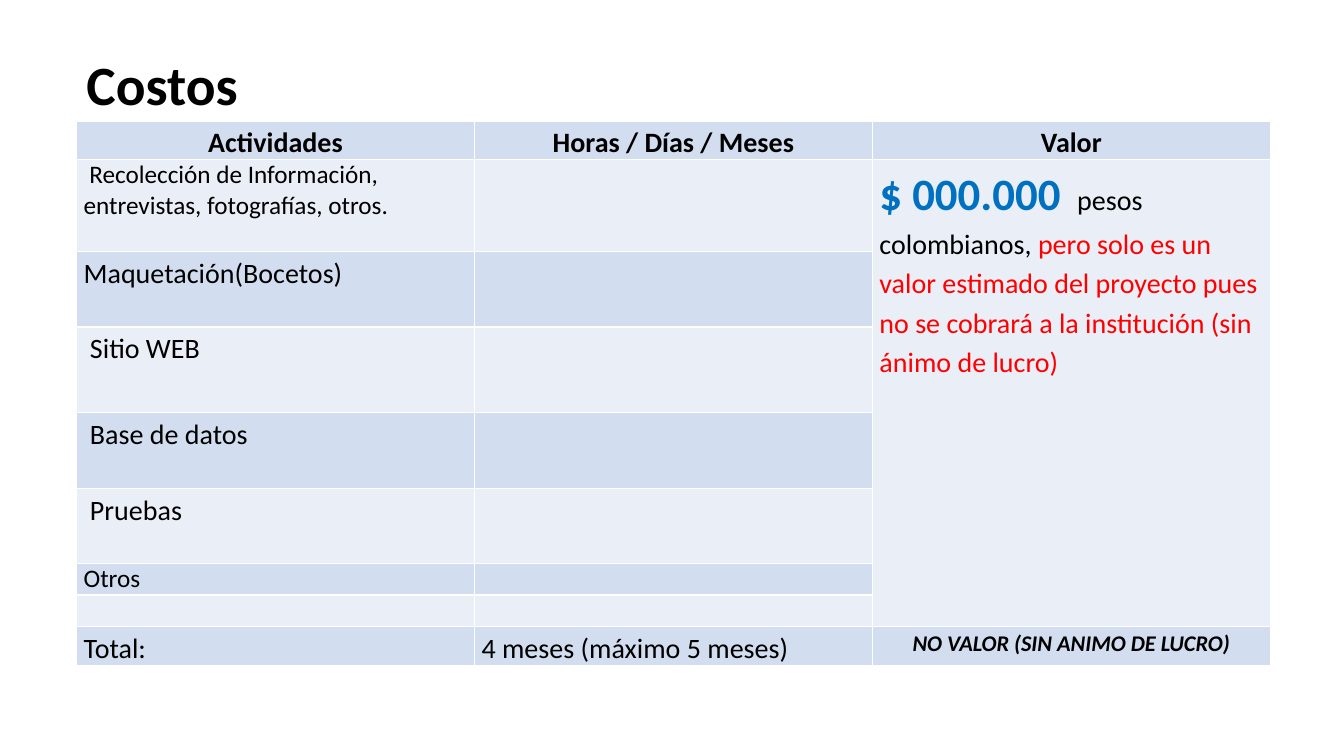
"""Build a slide with the cost table of a project."""
from dataclasses import dataclass, field

import pptx
import pptx.dml.color
import pptx.enum.text
import pptx.oxml
import pptx.oxml.ns
import pptx.util

Inches = pptx.util.Inches
ALIGN = pptx.enum.text.PP_ALIGN
HUES = {"dark": "D2DEEF", "light": "EAEFF7", "line": "FFFFFF",
        "ink": "000000", "blue": "0070C0", "red": "FF0000"}


@dataclass
class Run:
    text: str
    size: float = 20
    hue: str = "ink"
    form: dict = field(default_factory=dict)


@dataclass
class Entry:
    row: int
    col: int
    runs: list[Run]
    align: ALIGN = ALIGN.LEFT
    space: float = 1.15


LEFT, TOP, WIDTH = 0.76, 1.2, 11.84
HEIGHTS = [0.38, 0.91, 0.75, 0.85, 0.75, 0.75, 0.31, 0.31, 0.39]
HEADS = ["Actividades", "Horas / Días / Meses", "Valor"]
TASKS = ["Maquetación(Bocetos)", " Sitio WEB", " Base de datos", " Pruebas"]
BOLD = {"bold": True}
ENTRIES = [
    *(Entry(0, col, [Run(head, form=BOLD)], ALIGN.CENTER) for col, head in enumerate(HEADS)),
    Entry(1, 0, [Run(" Recolección de Información, entrevistas, fotografías, otros.", 18)], space=1.0),
    Entry(1, 2, [
        Run("$ 000.000 ", 32, "blue", BOLD),
        Run(" pesos colombianos, "),
        Run("pero solo es un valor estimado del proyecto pues no se cobrará "
            "a la institución (sin ánimo de lucro)", hue="red"),
    ]),
    *(Entry(row, 0, [Run(task)]) for row, task in enumerate(TASKS, 2)),
    Entry(6, 0, [Run("Otros", 18)], space=1.0),
    Entry(8, 0, [Run("Total:")]),
    Entry(8, 1, [Run("4 meses (máximo 5 meses)")]),
    Entry(8, 2, [Run("NO VALOR (SIN ANIMO DE LUCRO)", 16, form={"bold": True, "italic": True})],
          ALIGN.CENTER),
]


def tint(name: str) -> pptx.dml.color.RGBColor:
    return pptx.dml.color.RGBColor.from_string(HUES[name])


def write(frame, runs: list[Run], align: ALIGN, space: float) -> None:
    para = frame.paragraphs[0]
    para.alignment, para.line_spacing = align, space
    for item in runs:
        run = para.add_run()
        run.text = item.text
        style = {"name": "Calibri", "size": pptx.util.Pt(item.size), "bold": False} | item.form
        for key, value in style.items():
            setattr(run.font, key, value)
        run.font.color.rgb = tint(item.hue)


def edge(cell) -> None:
    space = pptx.oxml.ns.nsdecls("a")
    for side in "LRTB":
        cell._tc.get_or_add_tcPr().append(pptx.oxml.parse_xml(
            f'<a:ln{side} {space} w="12700"><a:solidFill>'
            f'<a:srgbClr val="{HUES["line"]}"/></a:solidFill></a:ln{side}>'))


def add_title(slide) -> None:
    box = slide.shapes.add_textbox(Inches(LEFT), Inches(0.53), Inches(11.5), Inches(0.67))
    box.text_frame.word_wrap = True
    box.text_frame.vertical_anchor = pptx.enum.text.MSO_ANCHOR.MIDDLE
    write(box.text_frame, [Run("Costos", 39.6, form=BOLD)], ALIGN.LEFT, 0.9)


def add_costs(slide) -> None:
    table = slide.shapes.add_table(
        len(HEIGHTS), len(HEADS), Inches(LEFT), Inches(TOP),
        Inches(WIDTH), Inches(sum(HEIGHTS))).table
    table.first_row = table.horz_banding = False
    pads = {"margin_left": Inches(0.07), "margin_right": Inches(0.07),
            "margin_top": 0, "margin_bottom": 0}
    for index, (row, height) in enumerate(zip(table.rows, HEIGHTS)):
        row.height = Inches(height)
        for cell in row.cells:
            for key, value in pads.items():
                setattr(cell, key, value)
            edge(cell)
            cell.fill.solid()
            cell.fill.fore_color.rgb = tint("light" if index % 2 else "dark")
    table.cell(1, 2).merge(table.cell(7, 2))
    for entry in ENTRIES:
        write(table.cell(entry.row, entry.col).text_frame, entry.runs, entry.align, entry.space)


def main() -> None:
    deck = pptx.Presentation()
    deck.slide_width, deck.slide_height = Inches(13.33), Inches(7.5)
    slide = deck.slides.add_slide(deck.slide_layouts[6])
    add_title(slide)
    add_costs(slide)
    deck.save("out.pptx")


if __name__ == "__main__":
    main()
